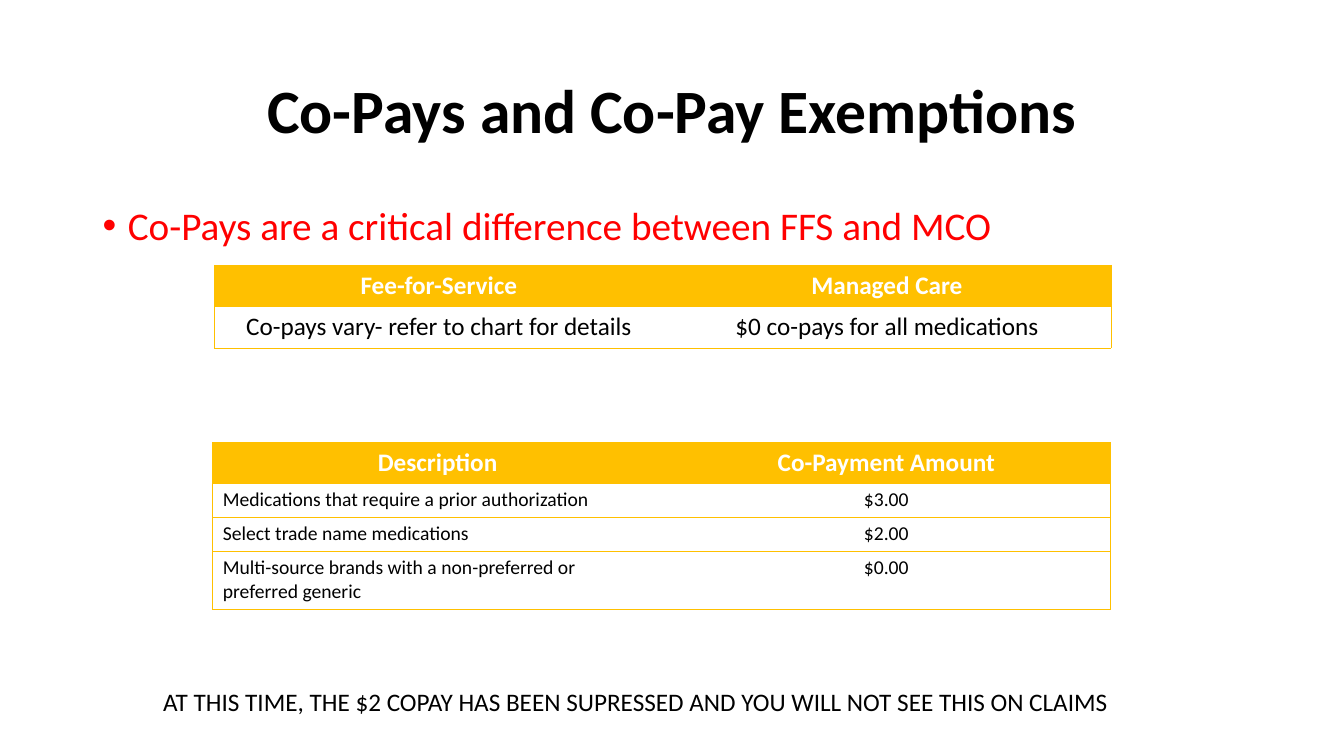
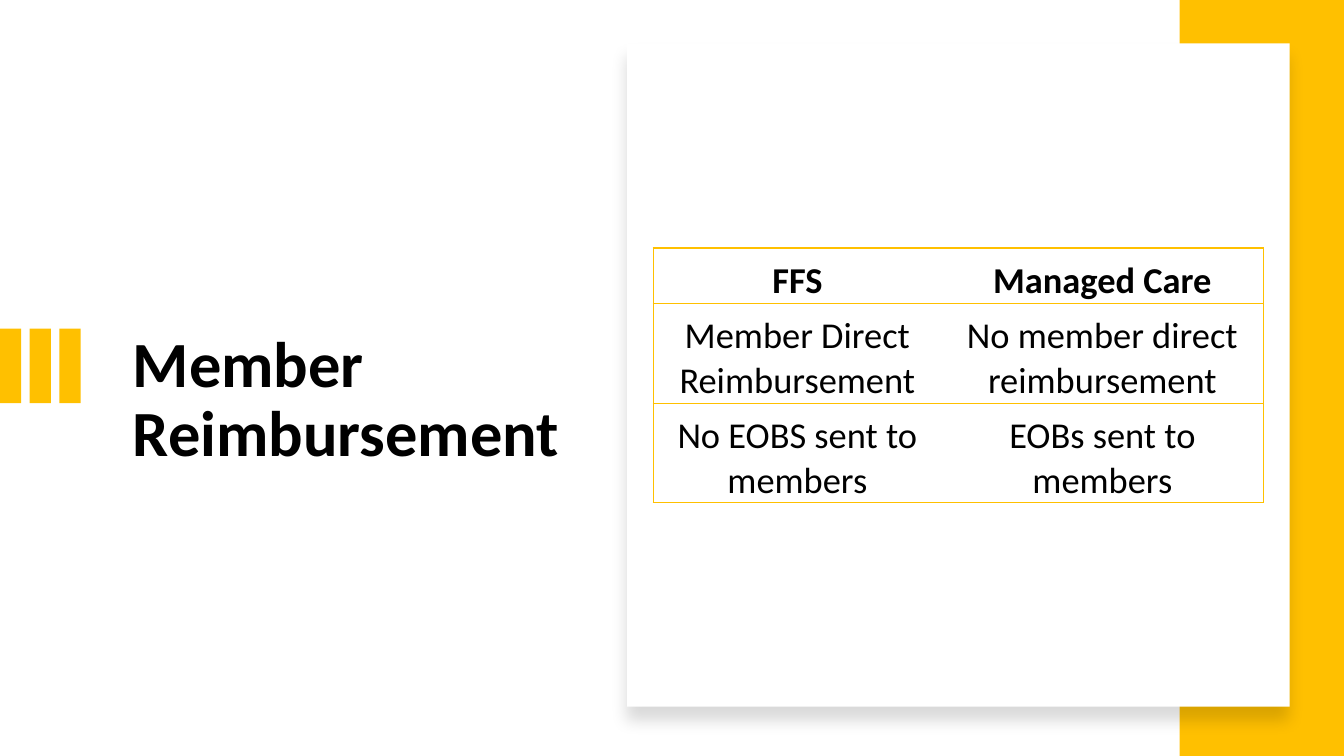
from dataclasses import dataclass

from lxml.etree import SubElement
from pptx import Presentation
from pptx.dml.color import RGBColor
from pptx.enum.shapes import MSO_SHAPE
from pptx.enum.text import MSO_ANCHOR, PP_ALIGN
from pptx.oxml.ns import qn
from pptx.util import Inches, Pt


@dataclass(frozen=True)
class Theme:
    font: str = "Calibri"
    gold: RGBColor = RGBColor(0xFF, 0xC0, 0x00)
    white: RGBColor = RGBColor(0xFF, 0xFF, 0xFF)
    black: RGBColor = RGBColor(0, 0, 0)
    red: RGBColor = RGBColor(0xFF, 0, 0)
    title: int = 44
    side: int = 46
    lead: int = 28
    large: int = 26
    text: int = 18
    small: int = 14


theme = Theme()
LEFT, MID = PP_ALIGN.LEFT, PP_ALIGN.CENTER
PLAIN = "{2D5ABB26-0587-4C30-8999-92F81FD0307C}"  # table style without grid

deck = Presentation()
deck.slide_width, deck.slide_height = Inches(13.33), Inches(7.5)
# Grid: 100 columns by 100 rows over the slide
COL, ROW = deck.slide_width / 100, deck.slide_height / 100
first, second = [deck.slides.add_slide(deck.slide_layouts[6]) for _ in range(2)]


def area(x, y, w, h):
    """Turn grid columns and rows into lengths."""
    return int(x * COL), int(y * ROW), int(w * COL), int(h * ROW)


def write(frame, text, size, color, bold=False, align=LEFT, space=1.0, bullet=False):
    """Put one styled paragraph into a text frame."""
    para = frame.paragraphs[0]
    para.text = text
    if bullet:
        props = para._p.get_or_add_pPr()
        props.set("marL", str(Inches(0.25)))
        props.set("indent", str(-Inches(0.25)))
        SubElement(props, qn("a:buFont"), typeface="Arial")
        SubElement(props, qn("a:buChar"), char="•")
    para.alignment, para.line_spacing = align, space
    look = {"name": theme.font, "size": Pt(size), "bold": bold}
    for key, val in look.items():
        setattr(para.font, key, val)
    para.font.color.rgb = color


# Gold bars, side band and white card
bars = [((2.21 * n, 43.47, 1.58, 9.87), theme.gold) for n in range(3)]
band = ((87.77, 0, 12.23, 100), theme.gold)
card = ((46.66, 5.73, 49.29, 87.73), theme.white)
for place, fill in [*bars, band, card]:
    shape = second.shapes.add_shape(MSO_SHAPE.RECTANGLE, *area(*place))
    shape.shadow.inherit = False
    shape.fill.solid()
    shape.fill.fore_color.rgb = fill
    shape.line.fill.background()

# Soft shadow below the card, the last shape drawn
glow = SubElement(
    shape._element.spPr.find(qn("a:effectLst")), qn("a:outerShdw"),
    blurRad=str(Pt(11)), dist=str(Pt(10)), dir="5400000", algn="t", rotWithShape="0")
tint = SubElement(glow, qn("a:srgbClr"), val=str(theme.black))
SubElement(tint, qn("a:alpha"), val="15000")

# Titles and running text
head = {"color": theme.black, "bold": True, "space": 0.9}
texts = [
    (first, (6.9, 5.33, 86.27, 19.33), "Co-Pays and Co-Pay Exemptions",
     {**head, "size": theme.title, "align": MID}, MSO_ANCHOR.MIDDLE, True),
    (first, (6.9, 26.67, 86.27, 63.47),
     "Co-Pays are a critical difference between FFS and MCO",
     {"size": theme.lead, "color": theme.red, "space": 0.9, "bullet": True},
     MSO_ANCHOR.TOP, True),
    (first, (11.4, 90.13, 72.54, 5.33),
     "AT THIS TIME, THE $2 COPAY HAS BEEN SUPRESSED AND YOU WILL NOT SEE THIS ON CLAIMS",
     {"size": theme.text, "color": theme.black}, MSO_ANCHOR.TOP, False),
    (second, (9.15, 43.2, 35.33, 34.8), "Member Reimbursement",
     {**head, "size": theme.side}, MSO_ANCHOR.TOP, True),
]
for slide, place, text, look, anchor, wrap in texts:
    frame = slide.shapes.add_textbox(*area(*place)).text_frame
    frame.word_wrap, frame.vertical_anchor = wrap, anchor
    write(frame, text, **look)

# Tables: column and row sizes in grid units, then looks and words
roomy = {"vertical_anchor": MSO_ANCHOR.TOP}
tight = {"vertical_anchor": MSO_ANCHOR.BOTTOM, "margin_left": Inches(0.02),
         "margin_right": Inches(0.02), "margin_top": Inches(0.02), "margin_bottom": 0}
tables = [
    dict(slide=first, at=(15.98, 35.07), cols=[33.34, 33.34], rows=[5.47, 5.47],
         sizes=(theme.text, theme.text), ink=theme.white, fills=(theme.gold, None),
         line=0.5, align=MID, cell=roomy, words=[
             ("Fee-for-Service", "Managed Care"),
             ("Co-pays vary- refer to chart for details", "$0 co-pays for all medications")]),
    dict(slide=first, at=(15.83, 58.53), cols=[33.46, 33.31], rows=[5.33, 4.53, 4.53, 7.73],
         sizes=(theme.text, theme.small), ink=theme.white, fills=(theme.gold, None),
         line=0.5, align=LEFT, cell=roomy, words=[
             ("Description", "Co-Payment Amount"),
             ("Medications that require a prior authorization", "$3.00"),
             ("Select trade name medications", "$2.00"),
             ("Multi-source brands with a non-preferred or preferred generic", "$0.00")]),
    dict(slide=second, at=(48.61, 32.8), cols=[21.46, 23.93], rows=[7.33, 13.2, 13.2],
         sizes=(theme.large, theme.large), ink=theme.black, fills=(theme.white, theme.white),
         line=1, align=MID, cell=tight, words=[
             ("FFS", "Managed Care"),
             ("Member Direct Reimbursement", "No member direct reimbursement"),
             ("No EOBS sent to members", "EOBs sent to members")]),
]
for plan in tables:
    cols, rows = plan["cols"], plan["rows"]
    place = area(*plan["at"], sum(cols), sum(rows))
    table = plan["slide"].shapes.add_table(len(rows), len(cols), *place).table
    table.first_row = table.horz_banding = False
    table._tbl.tblPr.find(qn("a:tableStyleId")).text = PLAIN
    for col, wide in zip(table.columns, cols):
        col.width = int(wide * COL)
    for row, high in zip(table.rows, rows):
        row.height = int(high * ROW)

    for r, words in enumerate(plan["words"]):
        top = r == 0
        for c, text in enumerate(words):
            cell = table.cell(r, c)
            for key, val in plan["cell"].items():
                setattr(cell, key, val)
            write(cell.text_frame, text, plan["sizes"][not top],
                  plan["ink"] if top else theme.black, bold=top,
                  align=MID if top or c else plan["align"])
            # Outer frame and row rules, no rule between columns
            props = cell._tc.get_or_add_tcPr()
            for side in ("L" if c == 0 else "R", "T", "B"):
                line = SubElement(props, qn("a:ln" + side), w=str(Pt(plan["line"])))
                paint = SubElement(line, qn("a:solidFill"))
                SubElement(paint, qn("a:srgbClr"), val=str(theme.gold))
            fill = plan["fills"][not top]
            if fill is None:
                cell.fill.background()
            else:
                cell.fill.solid()
                cell.fill.fore_color.rgb = fill

deck.save("out.pptx")
